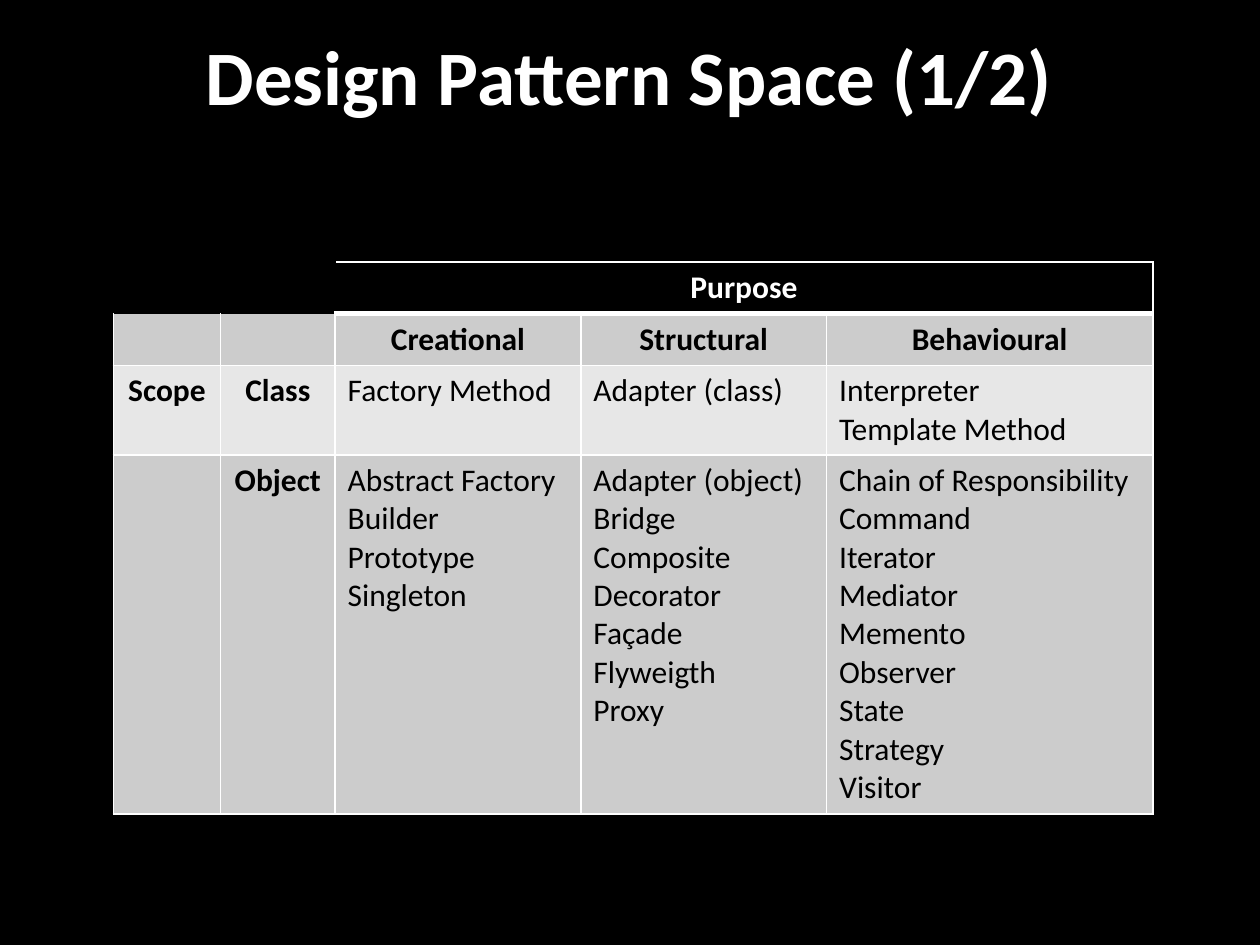
from lxml.etree import SubElement
from pptx import Presentation
from pptx.dml.color import RGBColor
from pptx.enum.text import MSO_ANCHOR, PP_ALIGN
from pptx.oxml.ns import qn
from pptx.util import Inches, Pt

BLACK, WHITE, DARK_BAND, LIGHT_BAND = "000000", "FFFFFF", "CCCCCC", "E7E7E7"


def write(frame, text, size=18, color=BLACK, bold=False, align=PP_ALIGN.LEFT):
    frame.text = text
    for para in frame.paragraphs:
        para.alignment = align
        para.font.name = "Calibri"
        para.font.size = Pt(size)
        para.font.bold = bold
        para.font.color.rgb = RGBColor.from_string(color)


def add_borders(cell, sides):
    """Draw the cell borders; sides maps L, R, T and B to (colour, points)."""
    properties = cell._tc.get_or_add_tcPr()
    for side in "LRTB":
        color, width = sides[side]
        line = SubElement(properties, qn(f"a:ln{side}"), w=str(Pt(width)))
        fill = SubElement(line, qn("a:solidFill"))
        SubElement(fill, qn("a:srgbClr"), val=color)


deck = Presentation()
deck.slide_width, deck.slide_height = Inches(10), Inches(7.5)
page = deck.slides.add_slide(deck.slide_layouts[5])
page.background.fill.solid()
page.background.fill.fore_color.rgb = RGBColor.from_string(BLACK)

title = page.shapes.title
title.left, title.top = Inches(0.85), Inches(0.12)
title.width, title.height = Inches(8.29), Inches(0.94)
title.text_frame.vertical_anchor = MSO_ANCHOR.MIDDLE
write(title.text_frame, "Design Pattern Space (1/2)", size=44, color=WHITE,
      bold=True, align=PP_ALIGN.CENTER)

patterns = [
    ["", "", "Purpose", "", ""],
    ["", "", "Creational", "Structural", "Behavioural"],
    ["Scope", "Class", "Factory Method", "Adapter (class)",
     "Interpreter\nTemplate Method"],
    ["", "Object",
     "Abstract Factory\nBuilder\nPrototype\nSingleton",
     "Adapter (object)\nBridge\nComposite\nDecorator\nFaçade\nFlyweigth\nProxy",
     "Chain of Responsibility\nCommand\nIterator\nMediator\nMemento\nObserver\n"
     "State\nStrategy\nVisitor"],
]
column_widths = [0.85, 0.91, 1.95, 1.95, 2.59]
row_heights = [0.41, 0.41, 0.71, 2.85]
row_fills = [BLACK, DARK_BAND, LIGHT_BAND, DARK_BAND]

table = page.shapes.add_table(
    len(row_heights), len(column_widths), Inches(0.9), Inches(2.08),
    Inches(sum(column_widths)), Inches(sum(row_heights))).table
table.first_row = table.horz_banding = False
for column, width in zip(table.columns, column_widths):
    column.width = Inches(width)
for row, height in zip(table.rows, row_heights):
    row.height = Inches(height)
table.cell(0, 2).merge(table.cell(0, 4))

for r, row in enumerate(patterns):
    for c, text in enumerate(row):
        cell = table.cell(r, c)
        is_corner = r == 0 and c < 2
        is_heading = r < 2 or c < 2

        sides = dict.fromkeys("LRTB", (BLACK if is_corner else WHITE, 1))
        if r == 0 and c >= 2:
            sides["B"] = (WHITE, 3)
            if c == 2:
                sides["L"] = (BLACK, 1)
        elif r == 1:
            sides["T"] = (BLACK, 1) if c < 2 else (WHITE, 3)
        add_borders(cell, sides)

        if is_corner:
            cell.fill.background()
        else:
            cell.fill.solid()
            cell.fill.fore_color.rgb = RGBColor.from_string(row_fills[r])
        write(cell.text_frame, text, color=WHITE if r == 0 else BLACK,
              bold=is_heading,
              align=PP_ALIGN.CENTER if is_heading else PP_ALIGN.LEFT)

deck.save("out.pptx")
